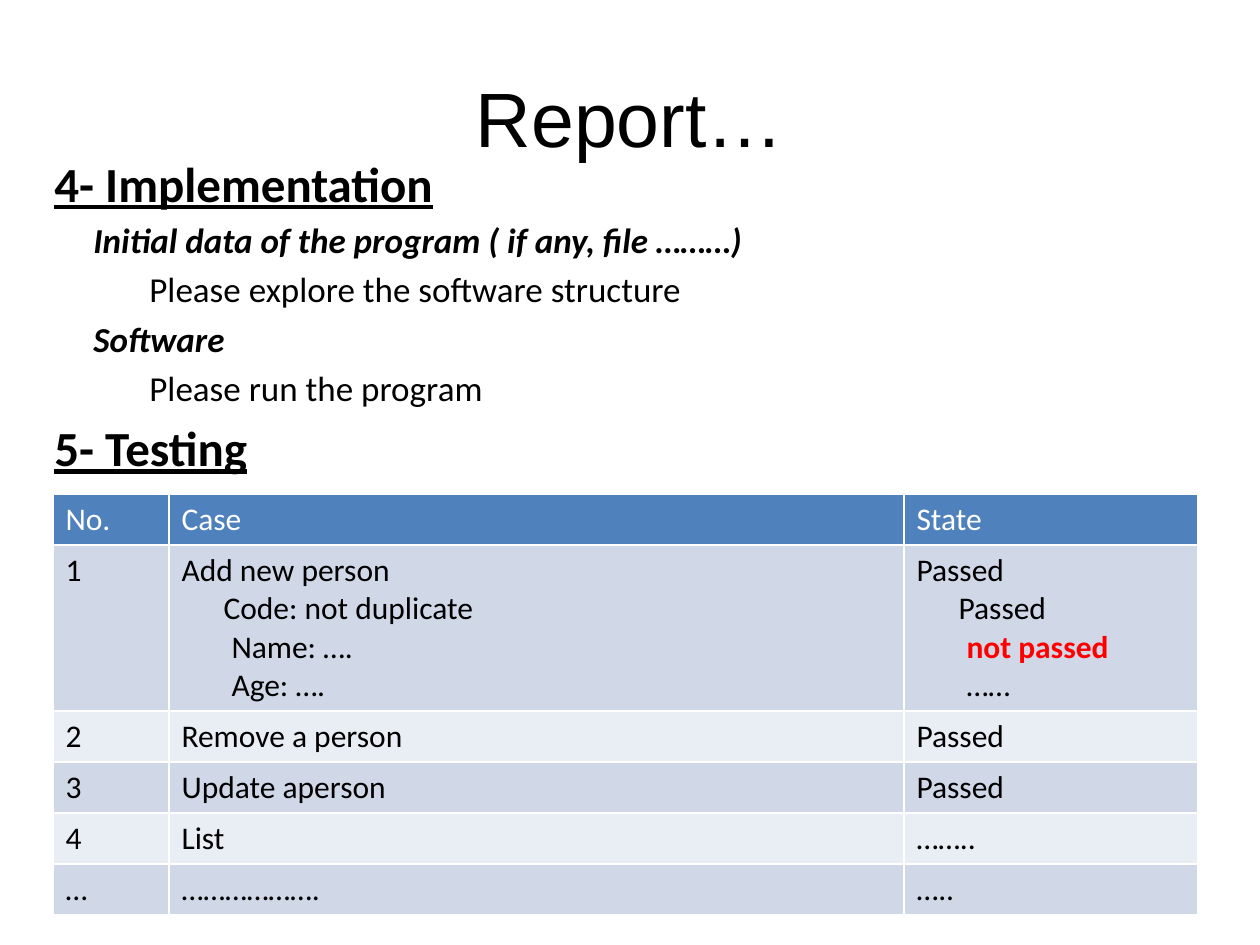
from pptx import Presentation
from pptx.dml.color import RGBColor
from pptx.enum.text import MSO_ANCHOR, PP_ALIGN
from pptx.util import Pt

MIDDLE, TOP = MSO_ANCHOR.MIDDLE, MSO_ANCHOR.TOP
CENTER, LEFT = PP_ALIGN.CENTER, PP_ALIGN.LEFT
TITLE_ONLY = 5
EMU_PER_PX = 914400 / 126

BLACK, WHITE, RED = "000000", "FFFFFF", "FF0000"
HEADER_FILL, ODD_FILL, EVEN_FILL = "4F81BD", "D0D8E8", "E9EDF4"

HEADING = {"size": 28, "bold": True, "underline": True}
TOPIC = {"size": 20, "bold": True, "italic": True, "indent": 39}
DETAIL = {"size": 20, "indent": 95}
CELL = {"size": 18, "bold": False}
FAILED = {"bold": True, "color": RED}

OUTLINE = [
    ("4- Implementation", HEADING),
    ("Initial data of the program ( if any, file ………)", TOPIC),
    ("Please explore the software structure", DETAIL),
    ("Software", TOPIC),
    ("Please run the program", DETAIL),
    ("5- Testing", HEADING),
]

# A cell is a list of lines: text, indent in px, special format
COLUMNS = [116, 735, 294]
ROW_HEIGHT, DETAIL_ROW_HEIGHT = 51, 166
FIRST_CASE = [("Add new person", 0, {}), ("Code: not duplicate", 42, {}),
              ("Name: ….", 50, {}), ("Age: ….", 50, {})]
FIRST_STATE = [("Passed", 0, {}), ("Passed", 42, {}),
               ("not passed", 50, FAILED), ("……", 50, {})]
TESTS = [
    ["No.", "Case", "State"],
    ["1", FIRST_CASE, FIRST_STATE],
    ["2", "Remove a person", "Passed"],
    ["3", "Update aperson", "Passed"],
    ["4", "List", "…….."],
    ["…", "……………….", "….."],
]


def px(length):
    return round(length * EMU_PER_PX)


def rgb(color):
    return RGBColor.from_string(color)


def place(shape, left, top, width, height):
    shape.left, shape.top = px(left), px(top)
    shape.width, shape.height = px(width), px(height)


def write_line(para, text, size, color=BLACK, indent=0, name="Calibri",
               align=LEFT, **formats):
    para.alignment = align
    if indent:
        para._p.get_or_add_pPr().set("marL", str(px(indent)))
    span = para.add_run()
    span.text = text
    span.font.size = Pt(size)
    span.font.color.rgb = rgb(color)
    for key, value in {"name": name, **formats}.items():
        setattr(span.font, key, value)


def next_para(frame, index):
    return frame.paragraphs[0] if index == 0 else frame.add_paragraph()


def add_title(page, text):
    title = page.shapes.title
    place(title, 63, 38, 1134, 158)
    title.text_frame.vertical_anchor = MIDDLE
    write_line(title.text_frame.paragraphs[0], text, 44, name="Arial", align=CENTER)


def add_outline(page, lines):
    box = page.shapes.add_textbox(0, 0, 0, 0)
    place(box, 42, 147, 1176, 368)
    frame = box.text_frame
    frame.word_wrap = True
    frame.vertical_anchor = TOP
    for index, (text, style) in enumerate(lines):
        para = next_para(frame, index)
        if index:
            para.space_before = Pt(style["size"] * 0.2)
        write_line(para, text, **style)


def fill_cell(cell, content, fill, color):
    cell.fill.solid()
    cell.fill.fore_color.rgb = rgb(fill)
    lines = [(content, 0, {})] if isinstance(content, str) else content
    for index, (text, indent, special) in enumerate(lines):
        style = {**CELL, "color": color, "indent": indent, **special}
        write_line(next_para(cell.text_frame, index), text, **style)


def add_test_table(page, rows):
    heights = [DETAIL_ROW_HEIGHT if row[1] is FIRST_CASE else ROW_HEIGHT
               for row in rows]
    table = page.shapes.add_table(len(rows), len(COLUMNS), px(53), px(494),
                                  px(sum(COLUMNS)), px(sum(heights))).table
    for column, width in zip(table.columns, COLUMNS):
        column.width = px(width)
    for index, (row, height) in enumerate(zip(rows, heights)):
        table.rows[index].height = px(height)
        band = ODD_FILL if index % 2 else EVEN_FILL
        fill, color = (band, BLACK) if index else (HEADER_FILL, WHITE)
        for cell, content in zip(table.rows[index].cells, row):
            fill_cell(cell, content, fill, color)


def main():
    deck = Presentation()
    deck.slide_width, deck.slide_height = px(1260), px(945)
    page = deck.slides.add_slide(deck.slide_layouts[TITLE_ONLY])
    add_title(page, "Report…")
    add_outline(page, OUTLINE)
    add_test_table(page, TESTS)
    deck.save("out.pptx")


if __name__ == "__main__":
    main()
